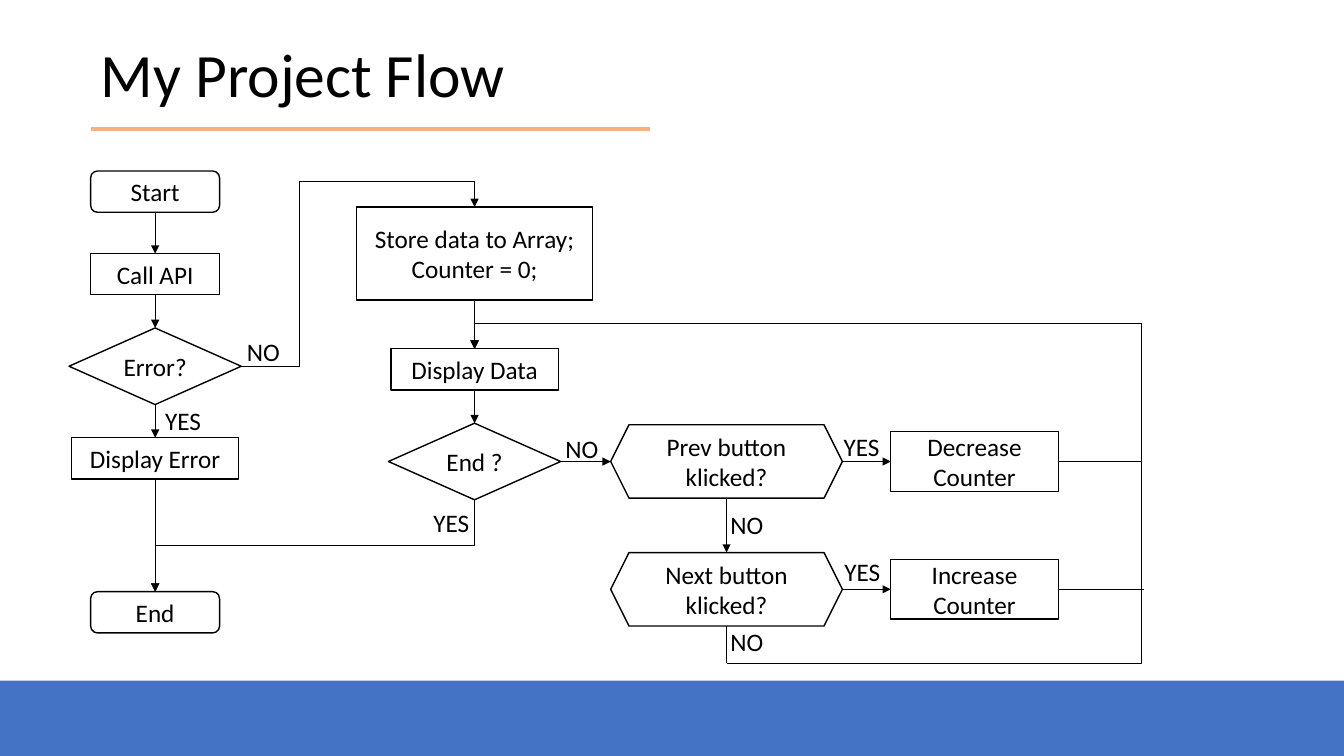
from dataclasses import dataclass
from lxml.etree import SubElement
from pptx import Presentation
from pptx.dml.color import RGBColor
from pptx.enum.shapes import MSO_CONNECTOR, MSO_SHAPE
from pptx.enum.text import MSO_ANCHOR, MSO_AUTO_SIZE, PP_ALIGN
from pptx.oxml.ns import qn
from pptx.util import Cm, Pt


@dataclass(frozen=True)
class Theme:
    font: str = "Calibri"
    head: int = 44
    body: int = 18
    ink: str = "000000"
    paper: str = "FFFFFF"
    band: str = "4472C4"
    rule: str = "F4B183"
    edge: float = 1
    wire: float = 0.5
    thick: float = 2.25


def write(frame, text, *, font, size, color, align=PP_ALIGN.LEFT,
          anchor=MSO_ANCHOR.TOP, wrap=True, fit=MSO_AUTO_SIZE.NONE):
    frame.text = text
    frame.word_wrap, frame.auto_size = wrap, fit
    frame.vertical_anchor = anchor
    for line in frame.paragraphs:
        line.alignment = align
        line.font.name, line.font.size = font, Pt(size)
        line.font.color.rgb = RGBColor.from_string(color)


class Chart:
    TOP, LEFT, BOTTOM, RIGHT = range(4)

    def __init__(self, slide, theme):
        self.slide, self.theme = slide, theme
        self.type = dict(font=theme.font, size=theme.body, color=theme.ink)

    def title(self, text, x, y, w, h):
        item = self.slide.shapes.title
        item.left, item.top, item.width, item.height = map(Cm, (x, y, w, h))
        write(item.text_frame, text, **{**self.type, "size": self.theme.head})

    def panel(self, kind, x, y, w, h, fill):
        item = self.slide.shapes.add_shape(kind, *map(Cm, (x, y, w, h)))
        item.shadow.inherit = False
        item.fill.solid()
        item.fill.fore_color.rgb = RGBColor.from_string(fill)
        item.line.fill.background()
        return item

    def node(self, kind, text, mid, y, w, h):
        """Outlined shape centred on the point (mid, y)."""
        item = self.panel(kind, mid - w / 2, y - h / 2, w, h, self.theme.paper)
        item.line.color.rgb = RGBColor.from_string(self.theme.ink)
        item.line.width = Pt(self.theme.edge)
        write(item.text_frame, text, **self.type, align=PP_ALIGN.CENTER,
              anchor=MSO_ANCHOR.MIDDLE)
        return item

    def label(self, text, x, y, w):
        item = self.slide.shapes.add_textbox(*map(Cm, (x, y, w, 1.02)))
        write(item.text_frame, text, **self.type, wrap=False,
              fit=MSO_AUTO_SIZE.SHAPE_TO_FIT_TEXT)

    def line(self, start, end, color=None, width=None, head=False,
             kind=MSO_CONNECTOR.STRAIGHT):
        item = self.slide.shapes.add_connector(kind, *map(Cm, start + end))
        item.line.color.rgb = RGBColor.from_string(color or self.theme.ink)
        item.line.width = Pt(width or self.theme.wire)
        form = item._element.spPr
        if head:
            SubElement(form.find(qn("a:ln")), qn("a:tailEnd"), type="triangle")
        SubElement(form, qn("a:effectLst"))
        return item

    def spot(self, item, side):
        x, y, w, h = (v.cm for v in (item.left, item.top, item.width, item.height))
        return [(x + w / 2, y), (x, y + h / 2),
                (x + w / 2, y + h), (x + w, y + h / 2)][side]

    def link(self, one, two, out=BOTTOM, into=TOP):
        item = self.line(self.spot(one, out), self.spot(two, into), head=True)
        # Hexagons number their joints differently, so those ends stay free
        if one.auto_shape_type != MSO_SHAPE.HEXAGON:
            item.begin_connect(one, out)
        if two.auto_shape_type != MSO_SHAPE.HEXAGON:
            item.end_connect(two, into)

    def elbow(self, start, end, x=None, y=None, head=True, turn=False):
        """Bent line by way of column x and row y; turn leaves downwards."""
        (ax, ay), (bx, by) = start, end
        if turn:
            mx, my = (ax + bx) / 2, (ay + by) / 2
            w, h = (by - ay) / 2, (ax - bx) / 2
            start, end = (mx - w, my - h), (mx + w, my + h)
        item = self.line(start, end, head=head, kind=MSO_CONNECTOR.ELBOW)
        form = item._element.spPr
        if turn:
            form.find(qn("a:xfrm")).set("rot", "5400000")
        shape = form.find(qn("a:prstGeom"))
        shape.set("prst", "bentConnector3" if y is None else "bentConnector4")
        bends = [0.5 if x is None else (x - ax) / (bx - ax)]
        if y is not None:
            bends.append((y - ay) / (by - ay))
        guides = shape.find(qn("a:avLst"))
        for n, bend in enumerate(bends, 1):
            SubElement(guides, qn("a:gd"), name=f"adj{n}",
                       fmla=f"val {round(bend * 100000)}")


def main():
    deck = Presentation()
    deck.slide_width, deck.slide_height = Cm(33.87), Cm(19.05)
    theme = Theme()
    flow = Chart(deck.slides.add_slide(deck.slide_layouts[5]), theme)
    rect, pill = MSO_SHAPE.RECTANGLE, MSO_SHAPE.ROUNDED_RECTANGLE
    gem, hexa = MSO_SHAPE.DIAMOND, MSO_SHAPE.HEXAGON

    # Title, rule and foot band
    flow.title("My Project Flow", 2.29, 0.78, 18, 2.13)
    flow.line((2.29, 3.25), (16.38, 3.25), theme.rule, theme.thick)
    flow.panel(rect, 0, 17.15, 33.87, 1.9, theme.band)

    # Columns and rows of the chart
    left, mid, ask, act = 3.91, 11.96, 18.31, 24.56
    high, low = 11.63, 14.85
    small, wide, test = (3.25, 1.04), (4.22, 1.04), (4.34, 1.93)

    # Load the data
    start = flow.node(pill, "Start", left, 4.83, *small)
    call = flow.node(rect, "Call API", left, 6.91, *small)
    error = flow.node(gem, "Error?", left, 9.23, *test)
    warn = flow.node(rect, "Display Error", left, 11.55, *wide)
    end = flow.node(pill, "End", left, 15.43, *small)

    # Show the data
    store = flow.node(rect, "Store data to Array;\nCounter = 0;", mid, 6.39, 5.94, 2.34)
    show = flow.node(rect, "Display Data", mid, 9.31, *wide)
    done = flow.node(gem, "End ?", mid, high, *test)

    # Buttons and counters
    pairs = [(flow.node(hexa, f"{key} button klicked?", ask, y, 5.84, 1.85),
              flow.node(rect, f"{verb} Counter", act, y, 4.22, 1.5))
             for key, verb, y in (("Prev", "Decrease", high), ("Next", "Increase", low))]
    (prev, _), (next_key, _) = pairs

    # Straight arrows
    for one, two in ((start, call), (call, error), (error, warn), (warn, end),
                     (store, show), (show, done), (prev, next_key)):
        flow.link(one, two)
    for one, two in [(done, prev)] + pairs:
        flow.link(one, two, flow.RIGHT, flow.LEFT)

    # Bent arrows and the way back
    flow.elbow(flow.spot(error, flow.RIGHT), flow.spot(store, flow.TOP), 7.54, 4.58)
    flow.elbow(flow.spot(done, flow.BOTTOM), flow.spot(end, flow.TOP), turn=True)
    for _, count in pairs:
        flow.elbow(flow.spot(count, flow.RIGHT), flow.spot(show, flow.TOP), 28.77, 8.15)
    flow.line(flow.spot(next_key, flow.BOTTOM), (ask, 16.71))
    flow.elbow((ask, 16.71), (28.83, low), 28.77, head=False)

    # Answers, each box wide enough for its word on one line
    for text, width, spots in (
            ("NO", 1.4, ((5.97, 8.36), (14, 10.8), (18.16, 12.7), (18.16, 15.65))),
            ("YES", 1.5, ((3.91, 10.08), (21.01, 10.74), (21.03, 13.89), (10.67, 12.65)))):
        for x, y in spots:
            flow.label(text, x, y, width)

    deck.save("out.pptx")


if __name__ == "__main__":
    main()
